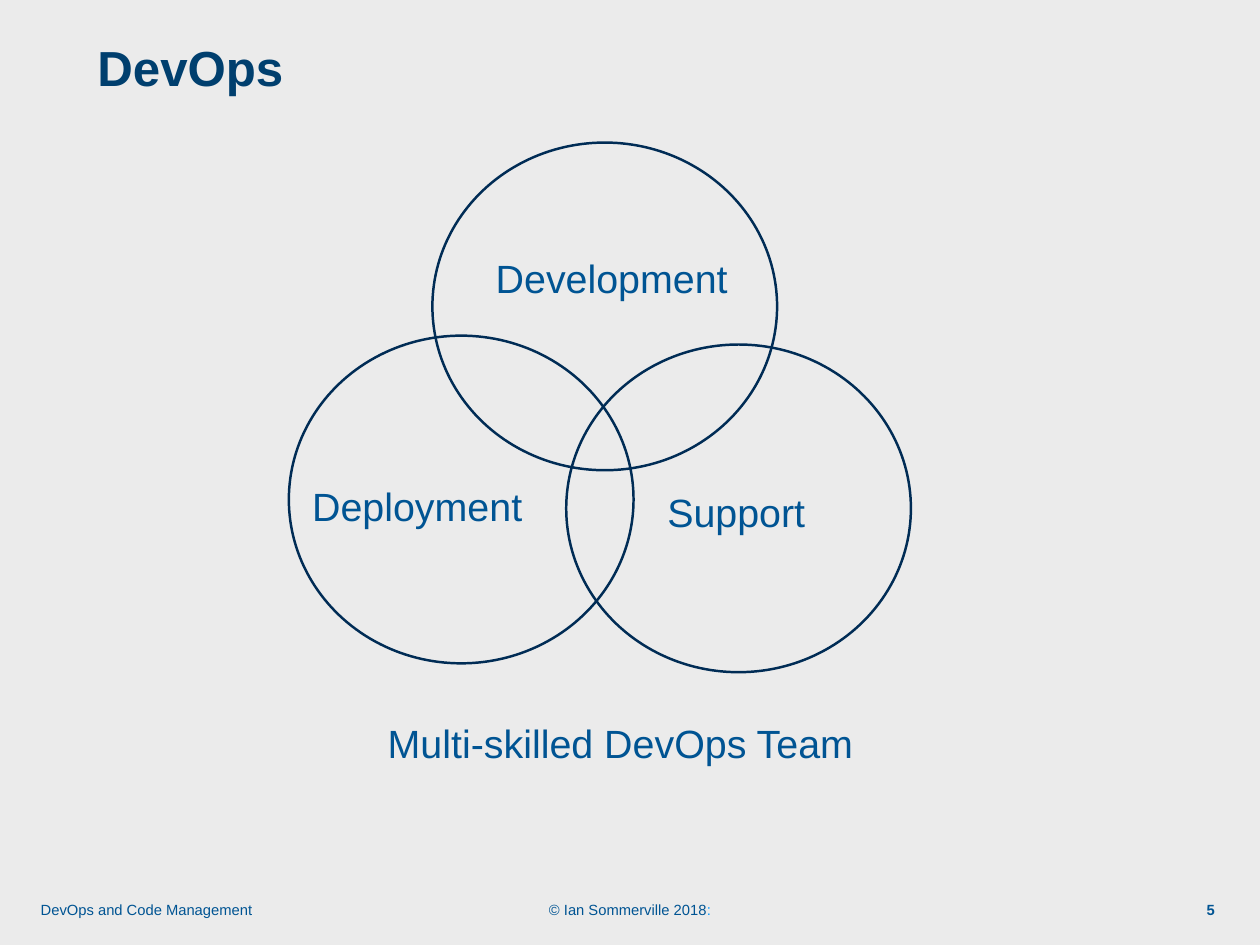
from pptx import Presentation
from pptx.dml.color import RGBColor
from pptx.enum.shapes import MSO_SHAPE
from pptx.enum.text import MSO_ANCHOR, MSO_AUTO_SIZE as AutoSize, PP_ALIGN
from pptx.util import Inches, Pt


class Theme:
    font = "Arial"
    background = RGBColor.from_string("EBEBEB")
    heading = RGBColor.from_string("003F6E")
    text = RGBColor.from_string("005493")
    accent = RGBColor.from_string("0096FF")
    outline = RGBColor.from_string("002C55")
    title_size, label_size, footer_size = 40, 32, 12
    inset, outline_width = 0.06, 2


# Content: boxes are left, top, width, height in inches
SLIDE_SIZE = (14.22, 10.67)
TITLE = ("DevOps", (1.04, 0.38, 12.14, 0.74))
CIRCLE_SIZE = (3.89, 3.7)
# Skill, left and top of its circle, box of its label
SKILLS = [
    ("Support", (6.39, 3.89), (7.47, 5.45, 1.68, 0.65)),
    ("Deployment", (3.26, 3.79), (3.46, 5.39, 2.5, 0.65)),
    ("Development", (4.88, 1.61), (5.53, 2.81, 2.75, 0.65)),
]
TEAM = ("Multi-skilled DevOps Team", (4.27, 8.06, 5.47, 0.65))
COPYRIGHT = ("© Ian Sommerville 2018", ":", (6.11, 10.11, 2, 0.31))
CHAPTER = ("DevOps and Code Management", (0.4, 10.11, 2.52, 0.31))
PAGE = ("5", (13.55, 10.11, 0.22, 0.31))


def inches(values):
    return [Inches(value) for value in values]


def write(holder, box, *parts, size=Theme.label_size, align=PP_ALIGN.CENTER,
          bold=False, wrap=False, autosize=AutoSize.SHAPE_TO_FIT_TEXT):
    """Place a text holder and fill it with (text, colour) parts."""
    holder.left, holder.top, holder.width, holder.height = inches(box)
    frame = holder.text_frame
    frame.word_wrap = wrap
    frame.auto_size = autosize
    frame.vertical_anchor = MSO_ANCHOR.MIDDLE
    frame.margin_left = frame.margin_right = Inches(Theme.inset)
    frame.margin_top = frame.margin_bottom = Inches(Theme.inset)
    line = frame.paragraphs[0]
    line.alignment = align
    for text, color in parts:
        run = line.add_run()
        run.text = text
        run.font.name = Theme.font
        run.font.size = Pt(size)
        run.font.bold = bold
        run.font.color.rgb = color


def add_text(slide, box, *parts, **style):
    write(slide.shapes.add_textbox(*inches(box)), box, *parts, **style)


def add_circle(slide, corner):
    circle = slide.shapes.add_shape(MSO_SHAPE.OVAL, *inches(corner + CIRCLE_SIZE))
    circle.shadow.inherit = False
    circle.fill.background()
    circle.line.color.rgb = Theme.outline
    circle.line.width = Pt(Theme.outline_width)


def main():
    deck = Presentation()
    deck.slide_width, deck.slide_height = inches(SLIDE_SIZE)
    slide = deck.slides.add_slide(deck.slide_layouts.get_by_name("Title Only"))
    slide.background.fill.solid()
    slide.background.fill.fore_color.rgb = Theme.background

    # Title
    heading, heading_box = TITLE
    write(slide.shapes.title, heading_box, (heading, Theme.heading),
          size=Theme.title_size, align=PP_ALIGN.LEFT, bold=True, wrap=True,
          autosize=AutoSize.NONE)

    # Overlapping skill circles, then their labels
    for _, corner, _ in SKILLS:
        add_circle(slide, corner)
    labels = [(skill, box) for skill, _, box in SKILLS] + [TEAM]
    for label, box in labels:
        add_text(slide, box, (label, Theme.text))

    # Footer
    owner, colon, owner_box = COPYRIGHT
    add_text(slide, owner_box, (owner, Theme.text), (colon, Theme.accent),
             size=Theme.footer_size)
    chapter, chapter_box = CHAPTER
    add_text(slide, chapter_box, (chapter, Theme.text),
             size=Theme.footer_size, align=PP_ALIGN.LEFT)
    page, page_box = PAGE
    add_text(slide, page_box, (page, Theme.text),
             size=Theme.footer_size, align=PP_ALIGN.RIGHT, bold=True)

    deck.save("out.pptx")


if __name__ == "__main__":
    main()
